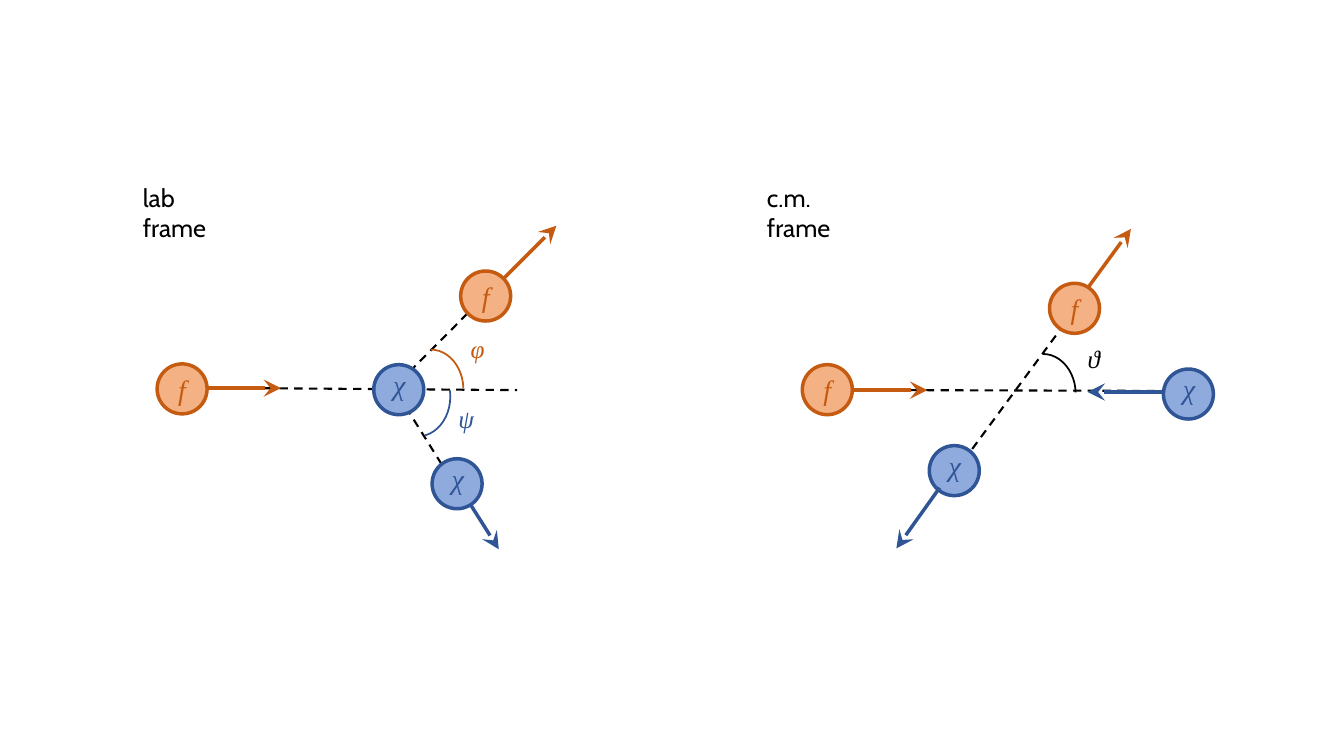
import pptx
import pptx.util
import pptx.dml.color
import pptx.enum.dml
import pptx.enum.shapes
import pptx.enum.text
import pptx.oxml
import pptx.oxml.ns
import lxml.etree

Cm = pptx.util.Cm
Pt = pptx.util.Pt
SHAPE = pptx.enum.shapes.MSO_SHAPE
SERIF = "Times New Roman"
BLACK = "000000"
RUST = "C55A11"
NAVY = "2F5597"
FILLS = {"f": "F4B183", "χ": "8FAADC"}
INKS = {"f": RUST, "χ": NAVY}
BALL = 1.26


def tint(code):
    return pptx.dml.color.RGBColor.from_string(code)


def write(frame, text, size, ink, font=SERIF):
    run = frame.paragraphs[0].add_run()
    run.text = text
    run.font.size = Pt(size)
    run.font.name = font
    run.font.italic = font == SERIF
    run.font.color.rgb = tint(ink)


def label(slide, x, y, wide, high, text, size, ink, font=SERIF, wrap=False):
    frame = slide.shapes.add_textbox(Cm(x), Cm(y), Cm(wide), Cm(high)).text_frame
    frame.word_wrap = wrap
    write(frame, text, size, ink, font)


def ball(slide, x, y, name):
    disc = slide.shapes.add_shape(SHAPE.OVAL, Cm(x), Cm(y), Cm(BALL), Cm(BALL))
    disc.shadow.inherit = False
    disc.fill.solid()
    disc.fill.fore_color.rgb = tint(FILLS[name])
    disc.line.color.rgb = tint(INKS[name])
    disc.line.width = Pt(2.5)
    if name == "χ":
        label(slide, x + 0.24, y - 0.06, 0.84, 1.12, name, 20, INKS[name])
        return
    frame = disc.text_frame
    frame.vertical_anchor = pptx.enum.text.MSO_ANCHOR.MIDDLE
    frame.paragraphs[0].alignment = pptx.enum.text.PP_ALIGN.CENTER
    write(frame, name, 20, INKS[name])


def stroke(slide, x1, y1, x2, y2, ink, width):
    line = slide.shapes.add_connector(
        pptx.enum.shapes.MSO_CONNECTOR.STRAIGHT, Cm(x1), Cm(y1), Cm(x2), Cm(y2))
    line.line.color.rgb = tint(ink)
    line.line.width = Pt(width)
    lxml.etree.SubElement(line._element.spPr, pptx.oxml.ns.qn("a:effectLst"))
    return line.line


def dash(slide, *ends):
    line = stroke(slide, *ends, BLACK, 1.5)
    line.dash_style = pptx.enum.dml.MSO_LINE.DASH


def arrow(slide, *ends, ink):
    line = stroke(slide, *ends, ink, 2.5)
    lxml.etree.SubElement(line._get_or_add_ln(), pptx.oxml.ns.qn("a:tailEnd"),
                          type="stealth", w="lg", len="lg")


def angle(slide, x, y, start, end, ink):
    arc = slide.shapes.add_shape(SHAPE.ARC, Cm(x), Cm(y), Cm(1.65), Cm(2.01))
    arc.shadow.inherit = False
    arc.adjustments[0] = start * 0.6
    arc.adjustments[1] = end * 0.6
    arc.fill.background()
    arc.line.color.rgb = tint(ink)
    arc.line.width = Pt(1.25)


def scene(slide, left, top, title, wide, paths, balls, moves, arcs, signs):
    label(slide, left, top, wide, 1.02, title, 18, BLACK, "Cabin", True)
    for x1, y1, x2, y2 in paths:
        dash(slide, left + x1, top + y1, left + x2, top + y2)
    for x, y, name in balls:
        ball(slide, left + x, top + y, name)
    for x1, y1, x2, y2, name in moves:
        arrow(slide, left + x1, top + y1, left + x2, top + y2, ink=INKS[name])
    for x, y, start, end, ink in arcs:
        angle(slide, left + x, top + y, start, end, ink)
    for x, y, text, ink in signs:
        label(slide, left + x, top + y, 0.89, 1.02, text, 18, ink)


def lab(slide, left, top):
    scene(
        slide, left, top, "lab frame", 3.02,
        paths=[(6.88, 5.79, 7.85, 7.34), (6.71, 5.16, 8.41, 3.45),
               (2.95, 5.31, 9.68, 5.36)],
        balls=[(0.61, 4.7, "f"), (8.26, 2.36, "f"),
               (6.07, 4.72, "χ"), (7.54, 7.09, "χ")],
        moves=[(1.85, 5.31, 3.73, 5.31, "f"), (9.35, 2.54, 10.67, 1.22, "f"),
               (8.53, 8.28, 9.22, 9.37, "χ")],
        arcs=[(6.68, 4.34, 270, 357.5, RUST), (6.35, 4.52, 349.06, 78.91, NAVY)],
        signs=[(8.26, 3.81, "φ", RUST), (7.95, 5.56, "ψ", NAVY)])


def centre(slide, left, top):
    scene(
        slide, left, top, "c.m. frame", 3.3,
        paths=[(4.98, 7.44, 8.05, 3.28), (3.51, 5.36, 10.24, 5.38)],
        balls=[(1.14, 4.72, "f"), (7.37, 2.67, "f"),
               (10.24, 4.83, "χ"), (4.34, 6.76, "χ")],
        moves=[(2.41, 5.36, 4.29, 5.36, "f"), (8.33, 2.79, 9.42, 1.3, "f"),
               (10.21, 5.41, 8.33, 5.41, "χ"), (4.6, 7.82, 3.51, 9.35, "χ")],
        arcs=[(6.38, 4.45, 270, 357.5, BLACK)],
        signs=[(8.08, 4.06, "ϑ", BLACK)])


def main():
    deck = pptx.Presentation()
    deck.slide_width = Cm(33.87)
    deck.slide_height = Cm(19.05)
    slide = deck.slides.add_slide(deck.slide_layouts[6])
    lab(slide, 3.35, 4.47)
    centre(slide, 19.08, 4.47)
    deck.save("out.pptx")


if __name__ == "__main__":
    main()
